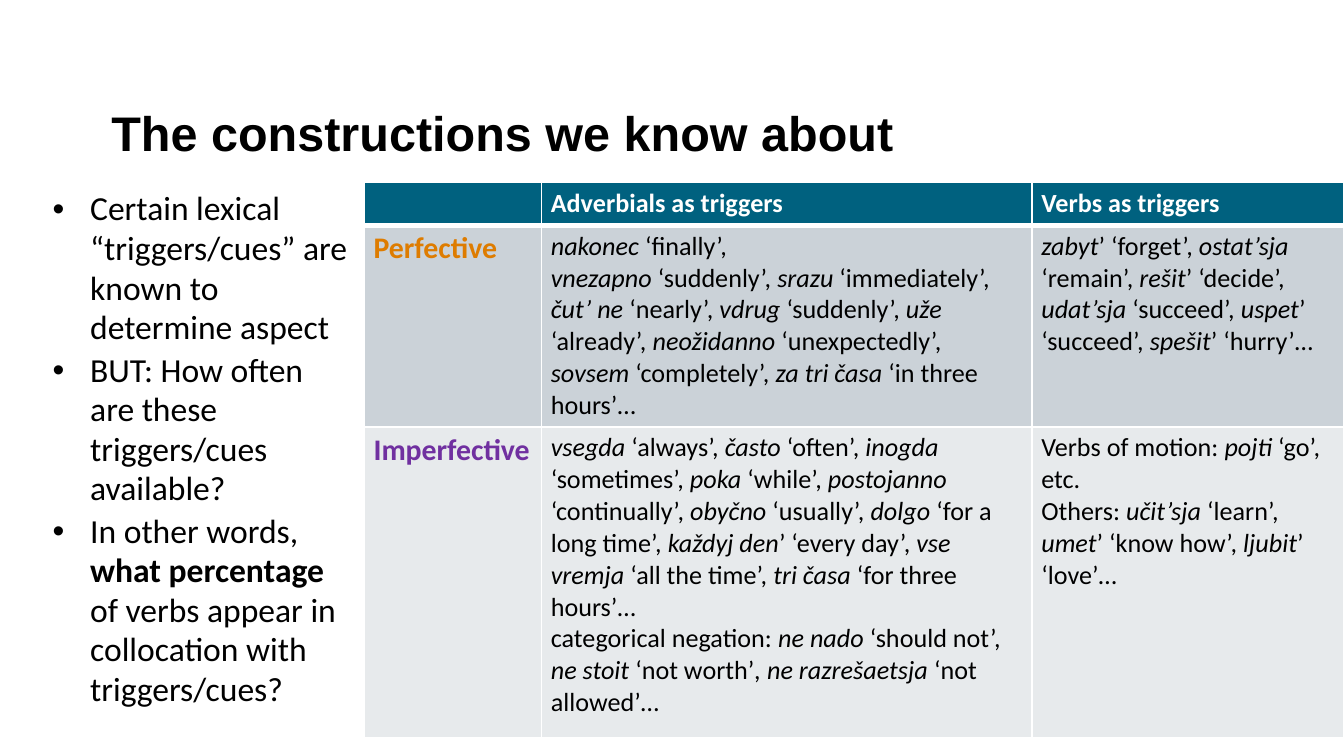
import pptx
import pptx.dml.color
import pptx.enum.text
import pptx.oxml
import pptx.oxml.ns
import pptx.util

Cm = pptx.util.Cm
Pt = pptx.util.Pt
RGBColor = pptx.dml.color.RGBColor
ANCHOR = pptx.enum.text.MSO_ANCHOR
ALIGN = pptx.enum.text.PP_ALIGN
AUTO_SIZE = pptx.enum.text.MSO_AUTO_SIZE

BLACK = RGBColor(0x00, 0x00, 0x00)
WHITE = RGBColor(0xFF, 0xFF, 0xFF)
TEAL = RGBColor(0x00, 0x61, 0x7F)
ORANGE = RGBColor(0xDE, 0x7C, 0x00)
PURPLE = RGBColor(0x70, 0x30, 0xA0)
DARK_BAND = RGBColor(0xCB, 0xD2, 0xD8)
LIGHT_BAND = RGBColor(0xE7, 0xEA, 0xEC)

TITLE_FONT = {"name": "Arial", "size": Pt(26), "bold": True}
BODY_FONT = {"name": "Calibri", "size": Pt(18), "bold": False}
CELL_FONT = {"name": "Calibri", "size": Pt(14), "bold": False}
HEAD_FONT = {**CELL_FONT, "bold": True}
ASPECT_FONT = {**HEAD_FONT, "size": Pt(16)}
CELL_MARGINS = {
    "margin_left": Cm(0.18), "margin_right": Cm(0.18),
    "margin_top": Cm(0.1), "margin_bottom": Cm(0.1),
}

TRIGGERS = [
    "Certain lexical “triggers/cues” are known to determine aspect",
    "BUT: How often are these triggers/cues available?",
    "In other words, *what percentage* of verbs appear in collocation with triggers/cues?",
]
HEADINGS = ["", "Adverbials as triggers", "Verbs as triggers"]
PERFECTIVE = [
    ["Perfective"],
    [
        "*nakonec *‘finally’,",
        "*vnezapno *‘suddenly’, *srazu *‘immediately’, *čut’ ne *‘nearly’, "
        "*vdrug *‘suddenly’, *uže *‘already’, *neožidanno *‘unexpectedly’, "
        "*sovsem *‘completely’, *za tri časa *‘in three hours’…",
    ],
    [
        "*zabyt*’ ‘forget’, *ostat’sja *‘remain’, *rešit*’ ‘decide’, "
        "*udat’sja *‘succeed’, *uspet*’ ‘succeed’, *spešit*’ ‘hurry’…",
    ],
]
IMPERFECTIVE = [
    ["Imperfective"],
    [
        "*vsegda *‘always’, *často *‘often’, *inogda *‘sometimes’, *poka *‘while’, "
        "*postojanno *‘continually’, *obyčno *‘usually’, *dolgo *‘for a long time’, "
        "*každyj den*’ ‘every day’, *vse vremja *‘all the time’, "
        "*tri časa *‘for three hours’…",
        "categorical negation: *ne nado *‘should not’, *ne stoit *‘not worth’"
        "*, ne razrešaetsja *‘not allowed’…",
    ],
    [
        "Verbs of motion: *pojti *‘go’, etc.",
        "Others: *učit’sja *‘learn’, *umet*’ ‘know how’, *ljubit*’ ‘love’…",
    ],
]


def apply(target, values):
    """Set every attribute in a dict of format values."""
    for name, value in values.items():
        setattr(target, name, value)


class LectureSlide:
    """Hold the style and the current slide of the lecture deck."""

    def __init__(self, deck):
        self.page = deck.slides.add_slide(deck.slide_layouts[1])

    def fill_text(self, frame, lines, font, color, emphasis="italic", layout=None):
        """Set lines as paragraphs, with emphasis between asterisks."""
        for index, line in enumerate(lines):
            para = frame.paragraphs[0] if index == 0 else frame.add_paragraph()
            apply(para, layout or {})
            if not line:
                para._p.get_or_add_endParaRPr().set("sz", str(int(font["size"].pt * 100)))
            for part, words in enumerate(line.split("*")):
                if words:
                    span = para.add_run()
                    span.text = words
                    apply(span.font, font)
                    span.font.color.rgb = color
                    if part % 2:
                        apply(span.font, {emphasis: True})

    def place(self, box, left, top, width, height, anchor):
        """Move a placeholder and settle its text frame."""
        apply(box, {"left": Cm(left), "top": Cm(top), "width": Cm(width), "height": Cm(height)})
        apply(box.text_frame, {
            "word_wrap": True, "auto_size": AUTO_SIZE.NONE, "vertical_anchor": anchor,
        })
        return box.text_frame

    def title(self, text):
        """Fill the title placeholder."""
        frame = self.place(self.page.shapes.title, 1.85, 0.64, 21.89, 2.54, ANCHOR.BOTTOM)
        self.fill_text(frame, [text], TITLE_FONT, BLACK, layout={"alignment": ALIGN.LEFT})

    def bullets(self, lines):
        """Fill the body placeholder with a bulleted list."""
        frame = self.place(self.page.placeholders[1], 0.74, 3.45, 6.15, 10.41, ANCHOR.TOP)
        layout = {"space_before": Pt(0.8), "space_after": Pt(0.8), "line_spacing": 0.98}
        self.fill_text(frame, lines, BODY_FONT, BLACK, "bold", layout)
        for para in frame.paragraphs:
            properties = para._p.get_or_add_pPr()
            properties.set("marL", str(Cm(0.71)))
            properties.set("indent", str(Cm(-0.71)))

    def cell(self, cell, lines, font, color, fill, edges):
        """Fill one cell and give it white borders."""
        properties = cell._tc.get_or_add_tcPr()
        for side, points in zip("LRTB", edges):
            properties.append(pptx.oxml.parse_xml(
                f'<a:ln{side} {pptx.oxml.ns.nsdecls("a")} w="{Pt(points)}">'
                f'<a:solidFill><a:srgbClr val="{WHITE}"/></a:solidFill></a:ln{side}>'
            ))
        apply(cell, CELL_MARGINS)
        cell.fill.solid()
        cell.fill.fore_color.rgb = fill
        self.fill_text(cell.text_frame, lines, font, color)

    def aspect_table(self, widths, heights):
        """Add the table of triggers for each aspect."""
        table = self.page.shapes.add_table(
            len(heights), len(widths), Cm(6.88), Cm(3.45), Cm(sum(widths)), Cm(sum(heights))
        ).table
        for column, width in zip(table.columns, widths):
            column.width = Cm(width)
        for row, height in zip(table.rows, heights):
            row.height = Cm(height)
        for column, heading in enumerate(HEADINGS):
            self.cell(table.cell(0, column), [heading], HEAD_FONT, WHITE, TEAL, (1, 1, 1, 3))
        bands = [
            (PERFECTIVE, ORANGE, DARK_BAND, (1, 1, 3, 1)),
            (IMPERFECTIVE, PURPLE, LIGHT_BAND, (1, 1, 1, 1)),
        ]
        for row, (entries, accent, fill, edges) in enumerate(bands, 1):
            for column, lines in enumerate(entries):
                font, color = (CELL_FONT, BLACK) if column else (ASPECT_FONT, accent)
                self.cell(table.cell(row, column), lines, font, color, fill, edges)


def main():
    """Build and save the deck."""
    deck = pptx.Presentation()
    apply(deck, {"slide_width": Cm(25.4), "slide_height": Cm(14.28)})
    slide = LectureSlide(deck)
    slide.title("The constructions we know about")
    slide.aspect_table([3.35, 9.27, 5.89], [0.76, 3.81, 5.87])
    slide.bullets(TRIGGERS)
    deck.save("out.pptx")


if __name__ == "__main__":
    main()
